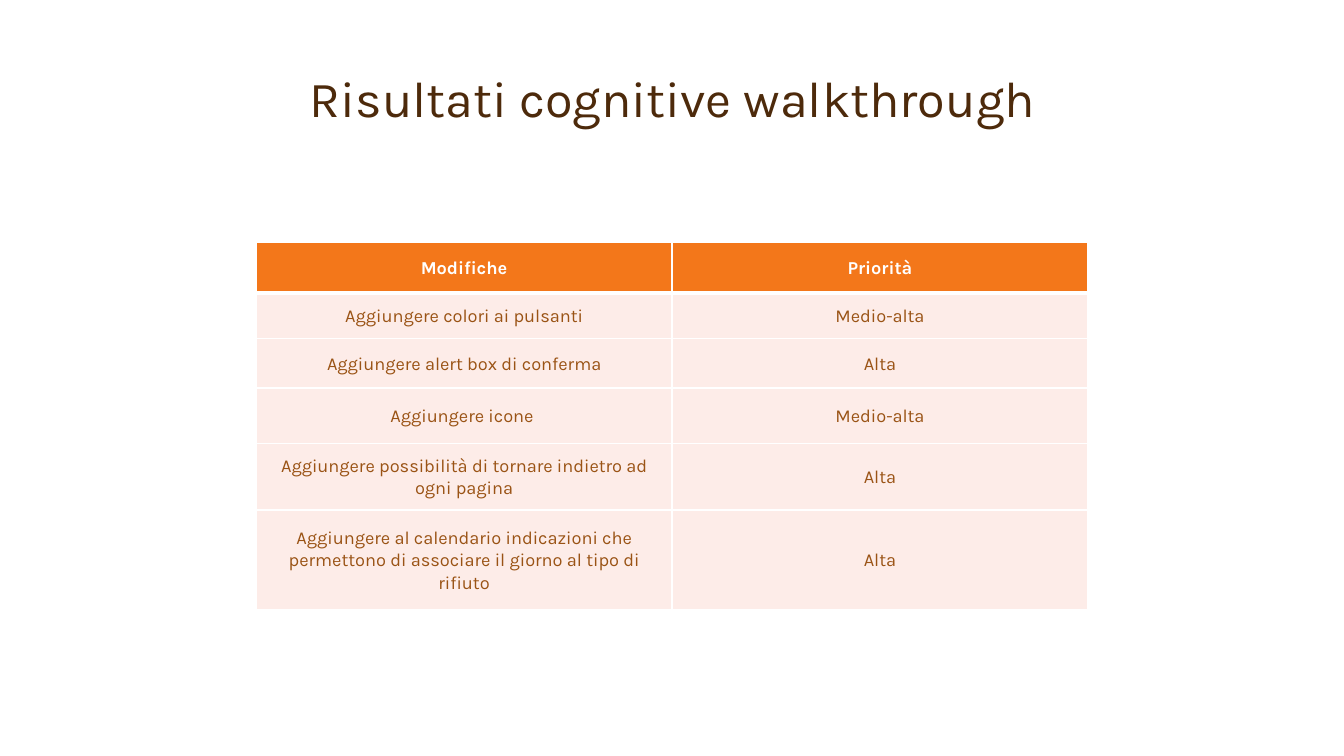
from dataclasses import dataclass

from lxml import etree
from pptx import Presentation
from pptx.dml.color import RGBColor
from pptx.enum import text
from pptx.oxml import ns
from pptx.util import Inches, Pt


@dataclass(frozen=True)
class Theme:
    font: str = "Karla"
    title_color: str = "4D2A0B"
    header_fill: str = "F3771A"
    header_color: str = "FFFFFF"
    body_fill: str = "FDECE8"
    body_color: str = "9A5315"
    border: str = "FFFFFF"
    title_size: int = 36
    table_size: int = 13
    thin: int = 1
    thick: int = 3


THEME = Theme()
ROWS = [
    ("Modifiche", "Priorità"),
    ("Aggiungere colori ai pulsanti", "Medio-alta"),
    ("Aggiungere alert box di conferma", "Alta"),
    ("Aggiungere icone ", "Medio-alta"),
    ("Aggiungere possibilità di tornare indietro ad ogni pagina", "Alta"),
    ("Aggiungere al calendario indicazioni che permettono di associare "
     "il giorno al tipo di rifiuto", "Alta"),
]
ROW_HEIGHTS = [0.51, 0.45, 0.49, 0.55, 0.66, 0.99]


def write_centred(frame, words, size, color, line_spacing, bold=False):
    paragraph = frame.paragraphs[0]
    paragraph.alignment = text.PP_ALIGN.CENTER
    paragraph.line_spacing = line_spacing
    run = paragraph.add_run()
    run.text = words
    run.font.name = THEME.font
    run.font.size = Pt(size)
    run.font.bold = bold
    run.font.color.rgb = RGBColor.from_string(color)


def set_borders(cell, top, bottom):
    """Draw the four cell borders; widths of top and bottom are in points."""
    properties = cell._tc.get_or_add_tcPr()
    widths = {"lnL": THEME.thin, "lnR": THEME.thin, "lnT": top, "lnB": bottom}
    for position, (side, width) in enumerate(widths.items()):
        line = etree.Element(ns.qn(f"a:{side}"), w=str(Pt(width)))
        fill = etree.SubElement(line, ns.qn("a:solidFill"))
        etree.SubElement(fill, ns.qn("a:srgbClr"), val=THEME.border)
        properties.insert(position, line)


def format_cell(cell, words, row_index):
    is_header = row_index == 0
    cell.margin_left = cell.margin_right = Inches(0.07)
    cell.margin_top = cell.margin_bottom = 0
    cell.vertical_anchor = text.MSO_ANCHOR.MIDDLE
    cell.fill.solid()
    cell.fill.fore_color.rgb = RGBColor.from_string(
        THEME.header_fill if is_header else THEME.body_fill)
    color = THEME.header_color if is_header else THEME.body_color
    write_centred(cell.text_frame, words, THEME.table_size, color, 1.07, is_header)
    set_borders(cell,
                top=THEME.thick if row_index == 1 else THEME.thin,
                bottom=THEME.thick if is_header else THEME.thin)


def place_title(slide, words, left, top, width, height):
    title = slide.shapes.title
    title.left, title.top = Inches(left), Inches(top)
    title.width, title.height = Inches(width), Inches(height)
    title.text_frame.word_wrap = True
    title.text_frame.vertical_anchor = text.MSO_ANCHOR.BOTTOM
    write_centred(title.text_frame, words, THEME.title_size, THEME.title_color, 0.9)


def place_priority_table(slide, left, top, width):
    table = slide.shapes.add_table(
        len(ROWS), len(ROWS[0]), Inches(left), Inches(top),
        Inches(width), Inches(sum(ROW_HEIGHTS))).table
    for row_index, (words_in_row, height) in enumerate(zip(ROWS, ROW_HEIGHTS)):
        table.rows[row_index].height = Inches(height)
        for column_index, words in enumerate(words_in_row):
            format_cell(table.cell(row_index, column_index), words, row_index)


def main():
    presentation = Presentation()
    presentation.slide_width = Inches(13.33)
    presentation.slide_height = Inches(7.5)
    slide = presentation.slides.add_slide(
        presentation.slide_layouts.get_by_name("Title Only"))
    place_title(slide, "Risultati cognitive walkthrough", 1.17, -0.01, 11, 1.33)
    place_priority_table(slide, 2.54, 2.4, 8.25)
    presentation.save("out.pptx")


if __name__ == "__main__":
    main()
